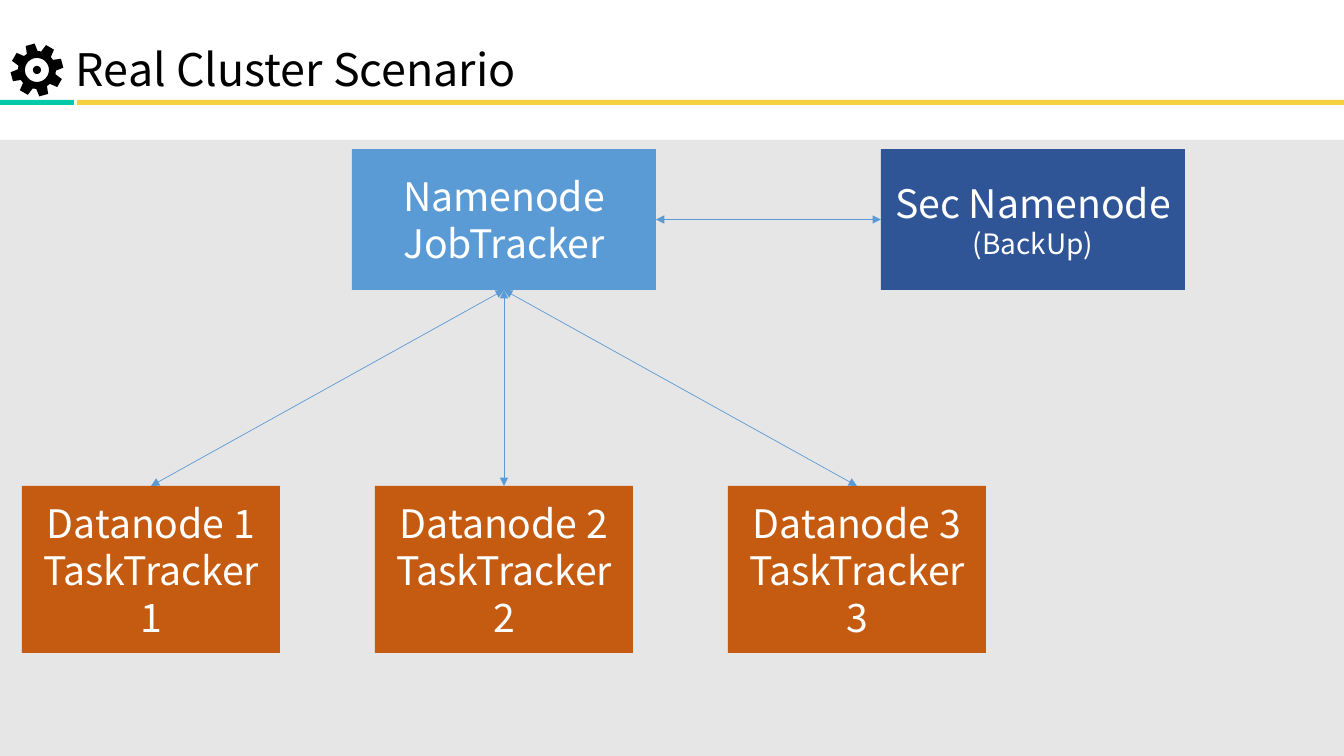
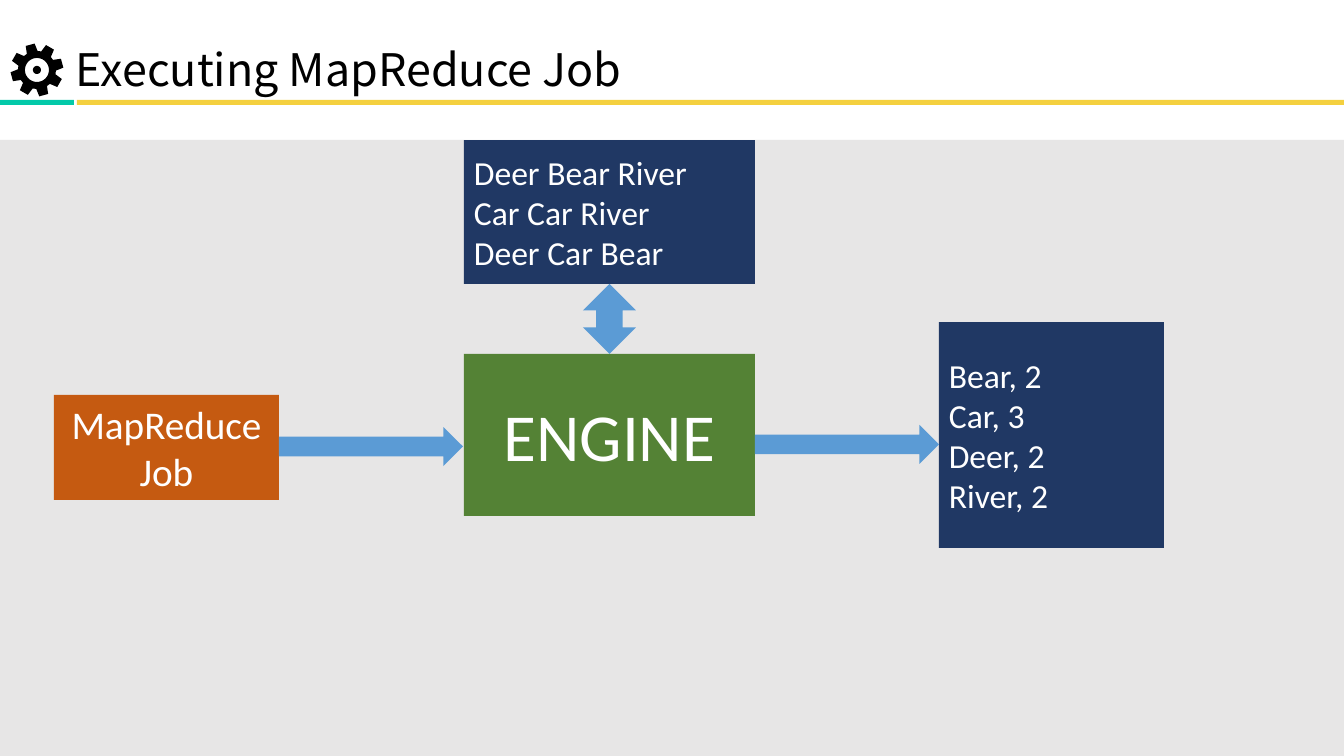
from math import cos, radians, sin

from lxml import etree
from pptx import Presentation
from pptx import util as u
from pptx.dml.color import RGBColor
from pptx.enum import shapes, text
from pptx.oxml import ns

# Scale and page, in pixels
PX = 12192000 / 1344
WIDE, HIGH = 1344, 756

# Colours and fonts
BLACK = RGBColor(0x00, 0x00, 0x00)
WHITE = RGBColor(0xFF, 0xFF, 0xFF)
GREY = RGBColor(0xE7, 0xE6, 0xE6)
YELLOW = RGBColor(0xF4, 0xD0, 0x3F)
TEAL = RGBColor(0x03, 0xC9, 0xA9)
BLUE = RGBColor(0x5B, 0x9B, 0xD5)
ROYAL = RGBColor(0x2F, 0x55, 0x97)
NAVY = RGBColor(0x20, 0x38, 0x64)
GREEN = RGBColor(0x54, 0x82, 0x35)
RUST = RGBColor(0xC5, 0x5A, 0x11)
NOTO, CALIBRI = "Noto Sans CJK TC", "Calibri"

# Places and connection sites
PANEL = 140
TOP, LEFT, BOTTOM, RIGHT = range(4)
KIND = shapes.MSO_SHAPE
ALIGN = text.PP_ALIGN


def emu(*pixels):
    return [u.Emu(round(n * PX)) for n in pixels]


def paint(shape, fill):
    shape.shadow.inherit = False
    shape.fill.solid()
    shape.fill.fore_color.rgb = fill
    shape.line.fill.background()


def block(slide, place, fill, kind=KIND.RECTANGLE):
    shape = slide.shapes.add_shape(kind, *emu(*place))
    paint(shape, fill)
    return shape


def write(frame, words, sizes, font, color, align=ALIGN.LEFT):
    """Fill a frame; sizes holds one point size for each paragraph."""
    frame.word_wrap = True
    frame.text = words
    for para, size in zip(frame.paragraphs, sizes):
        para.alignment = align
        for run in para.runs:
            run.font.name = font
            run.font.size = u.Pt(size)
            run.font.color.rgb = color


def box(slide, place, fill, words, sizes, font=CALIBRI, align=ALIGN.CENTER):
    shape = block(slide, place, fill)
    shape.text_frame.vertical_anchor = text.MSO_ANCHOR.MIDDLE
    write(shape.text_frame, words, sizes, font, WHITE, align)
    return shape


def node(slide, place, fill, words, sizes=(28, 28)):
    return box(slide, place, fill, words, sizes, NOTO)


def link(slide, start, site, end, stop):
    """Join two shapes with a line that has an arrowhead at each end."""
    line = slide.shapes.add_connector(
        shapes.MSO_CONNECTOR.STRAIGHT, 0, 0, 0, 0)
    line.begin_connect(start, site)
    line.end_connect(end, stop)
    line.line.color.rgb = BLUE
    line.line.width = u.Pt(0.5)
    stroke = line.line._get_or_add_ln()
    for tag in ("a:headEnd", "a:tailEnd"):
        etree.SubElement(stroke, ns.qn(tag), type="triangle")
    etree.SubElement(line._element.spPr, ns.qn("a:effectLst"))


def ring(polar, x, y):
    """Turn (radius, degrees) pairs around a centre into EMU points."""
    return [emu(x + r * cos(radians(a)), y + r * sin(radians(a)))
            for r, a in polar]


def gear(slide, x=37, y=70):
    teeth = [(r, 45 * i + 30 + turn) for i in range(8)
             for r, turn in ((19, -17), (26.5, -10), (26.5, 10), (19, 17))]
    hole, hub = ([(r, a) for a in range(0, 360, 10)] for r in (12, 4))
    rim, *rest = [ring(part, x, y) for part in (teeth, hole, hub)]
    pen = slide.shapes.build_freeform(*rim[0])
    pen.add_line_segments(rim[1:])
    for part in rest:
        pen.move_to(*part[0])
        pen.add_line_segments(part[1:])
    paint(pen.convert_to_shape(), BLACK)


def page(deck, title):
    """Add a slide with the shared heading, rules and panel."""
    slide = deck.slides.add_slide(deck.slide_layouts[6])
    block(slide, (77, 100, WIDE - 77, 5), YELLOW)
    block(slide, (0, 100, 74, 5), TEAL)
    head = slide.shapes.add_textbox(*emu(66, 26, 714, 70)).text_frame
    head.vertical_anchor = text.MSO_ANCHOR.BOTTOM
    head.margin_bottom = 0
    write(head, title, [32], NOTO, BLACK)
    block(slide, (0, PANEL, WIDE, HIGH - PANEL), GREY)
    gear(slide)
    return slide


def cluster(deck):
    slide = page(deck, "Real Cluster Scenario")
    # Masters
    name = node(slide, (352, 149, 304, 141), BLUE, "Namenode\nJobTracker")
    spare = node(slide, (881, 149, 304, 141), ROYAL,
                 "Sec Namenode\n(BackUp)", (28, 20))
    link(slide, spare, LEFT, name, RIGHT)
    # Workers
    for i in range(3):
        data = node(slide, (22 + 353 * i, 486, 258, 167), RUST,
                    f"Datanode {i + 1}\nTaskTracker {i + 1}")
        link(slide, data, TOP, name, BOTTOM)


def job(deck):
    slide = page(deck, "Executing MapReduce Job")
    # Input, engine, result and job
    box(slide, (464, PANEL, 291, 144), NAVY,
        "Deer Bear River\nCar Car River\nDeer Car Bear", [24] * 3,
        align=ALIGN.LEFT)
    box(slide, (464, 354, 291, 162), GREEN, "ENGINE", [48])
    box(slide, (939, 322, 225, 226), NAVY,
        "Bear, 2\nCar, 3\nDeer, 2\nRiver, 2", [24] * 4, align=ALIGN.LEFT)
    box(slide, (54, 395, 225, 105), RUST, "MapReduce Job", [28])
    # Flow
    block(slide, (279, 427, 184, 39), BLUE, KIND.RIGHT_ARROW)
    block(slide, (583, 284, 53, 70), BLUE, KIND.UP_DOWN_ARROW)
    block(slide, (755, 425, 184, 39), BLUE, KIND.RIGHT_ARROW)


def main():
    deck = Presentation()
    deck.slide_width, deck.slide_height = emu(WIDE, HIGH)
    cluster(deck)
    job(deck)
    deck.save("out.pptx")


main()
